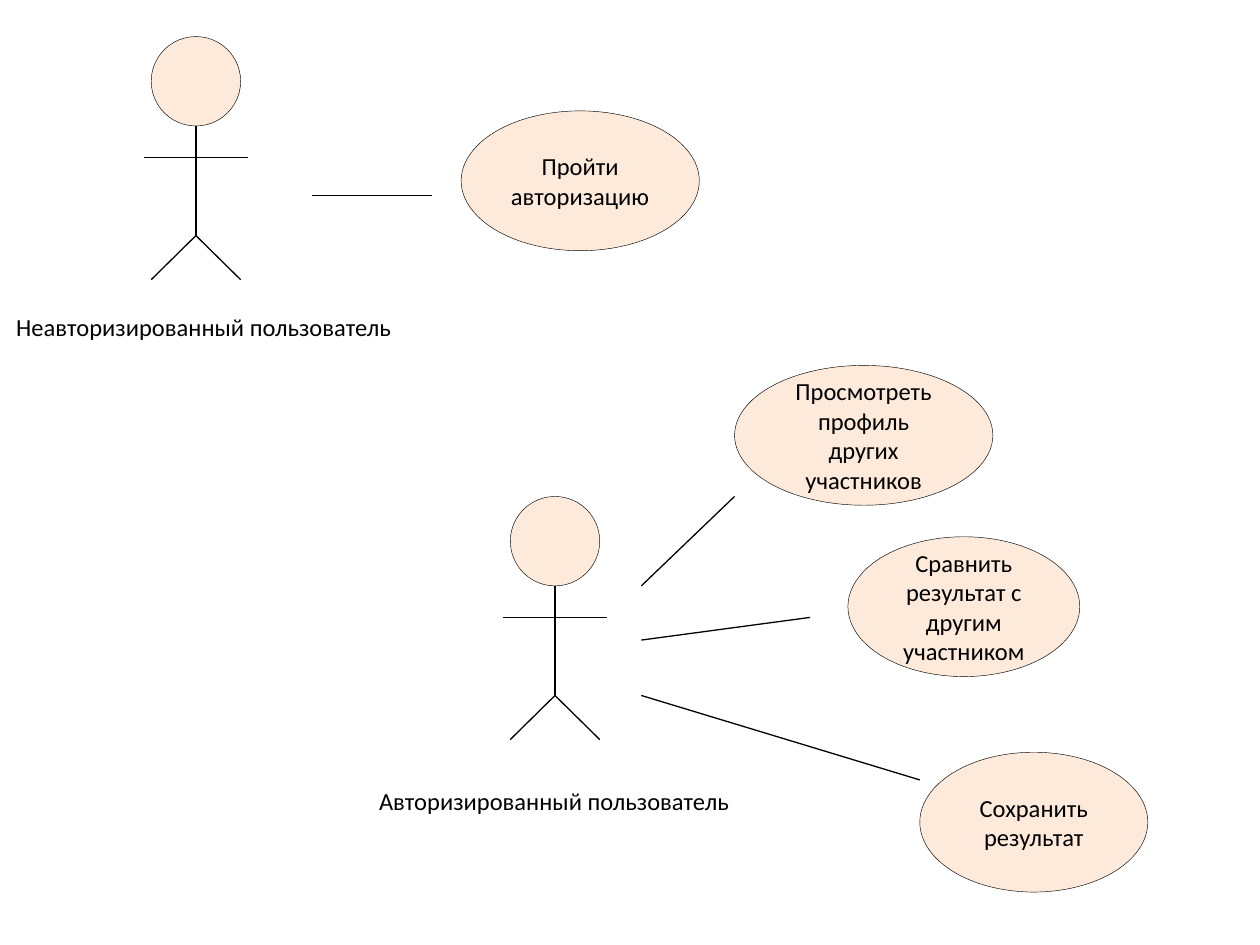
from lxml import etree
from pptx import Presentation
from pptx.dml.color import RGBColor
from pptx.enum import shapes, text
from pptx.oxml import ns
from pptx.util import Inches, Pt

BLACK = RGBColor(0x00, 0x00, 0x00)
PEACH = RGBColor(0xFD, 0xEA, 0xDA)
HEAD = 0.71
CASE_HEIGHT = 1.11


def add_line(slide, x1, y1, x2, y2):
    line = slide.shapes.add_connector(
        shapes.MSO_CONNECTOR.STRAIGHT, Inches(x1), Inches(y1), Inches(x2), Inches(y2))
    line.line.color.rgb = BLACK
    line.line.width = Pt(0.75)
    etree.SubElement(line._element.spPr, ns.qn("a:effectLst"))


def add_oval(slide, x, y, w, h):
    sp = slide.shapes.add_shape(
        shapes.MSO_SHAPE.OVAL, Inches(x), Inches(y), Inches(w), Inches(h))
    sp.shadow.inherit = False
    sp.fill.solid()
    sp.fill.fore_color.rgb = PEACH
    sp.line.color.rgb = BLACK
    sp.line.width = Pt(0.25)
    return sp


def write_text(tf, content, size=14, font="Calibri", color=BLACK,
               align=text.PP_ALIGN.LEFT, anchor=text.MSO_ANCHOR.TOP, wrap=True):
    tf.word_wrap = wrap
    tf.vertical_anchor = anchor
    p = tf.paragraphs[0]
    p.alignment = align
    r = p.add_run()
    r.text = content
    r.font.size = Pt(size)
    r.font.name = font
    r.font.color.rgb = color


def add_actor(slide, x, y):
    add_oval(slide, x, y, HEAD, HEAD)
    center, neck = x + HEAD / 2, y + HEAD
    hip, arms = neck + 0.87, neck + 0.25
    add_line(slide, center, neck, center, hip)
    for side in (-1, 1):
        add_line(slide, center, hip, center + side * HEAD / 2, hip + 0.35)
    add_line(slide, center - 0.41, arms, center + 0.41, arms)


def add_label(slide, content, x, y, w):
    sp = slide.shapes.add_textbox(Inches(x), Inches(y), Inches(w), Inches(0.34))
    write_text(sp.text_frame, content, wrap=False)
    sp.text_frame.auto_size = text.MSO_AUTO_SIZE.SHAPE_TO_FIT_TEXT


def add_use_case(slide, content, x, y, w):
    sp = add_oval(slide, x, y, w, CASE_HEIGHT)
    write_text(sp.text_frame, content, align=text.PP_ALIGN.CENTER,
               anchor=text.MSO_ANCHOR.MIDDLE)


def main():
    prs = Presentation()
    prs.slide_width, prs.slide_height = Inches(10), Inches(7.5)
    slide = prs.slides.add_slide(prs.slide_layouts[6])

    add_actor(slide, 1.2, 0.29)
    add_actor(slide, 4.05, 3.94)
    add_label(slide, "Неавторизированный пользователь", 0.03, 2.43, 3.21)
    add_label(slide, "Авторизированный пользователь", 2.91, 6.19, 3.01)

    use_cases = [
        ("Пройти авторизацию", 3.66, 0.88, 1.89),
        ("Сохранить результат", 7.3, 5.97, 1.81),
        ("Сравнить результат с другим участником", 6.73, 4.26, 1.84),
        ("Просмотреть профиль других участников", 5.83, 2.9, 2.05),
    ]
    for use_case in use_cases:
        add_use_case(slide, *use_case)

    links = [
        (5.09, 4.65, 5.83, 3.94),
        (5.09, 5.08, 6.43, 4.9),
        (5.09, 5.52, 7.3, 6.19),
        (2.48, 1.55, 3.43, 1.55),
    ]
    for link in links:
        add_line(slide, *link)

    prs.save("out.pptx")


if __name__ == "__main__":
    main()
